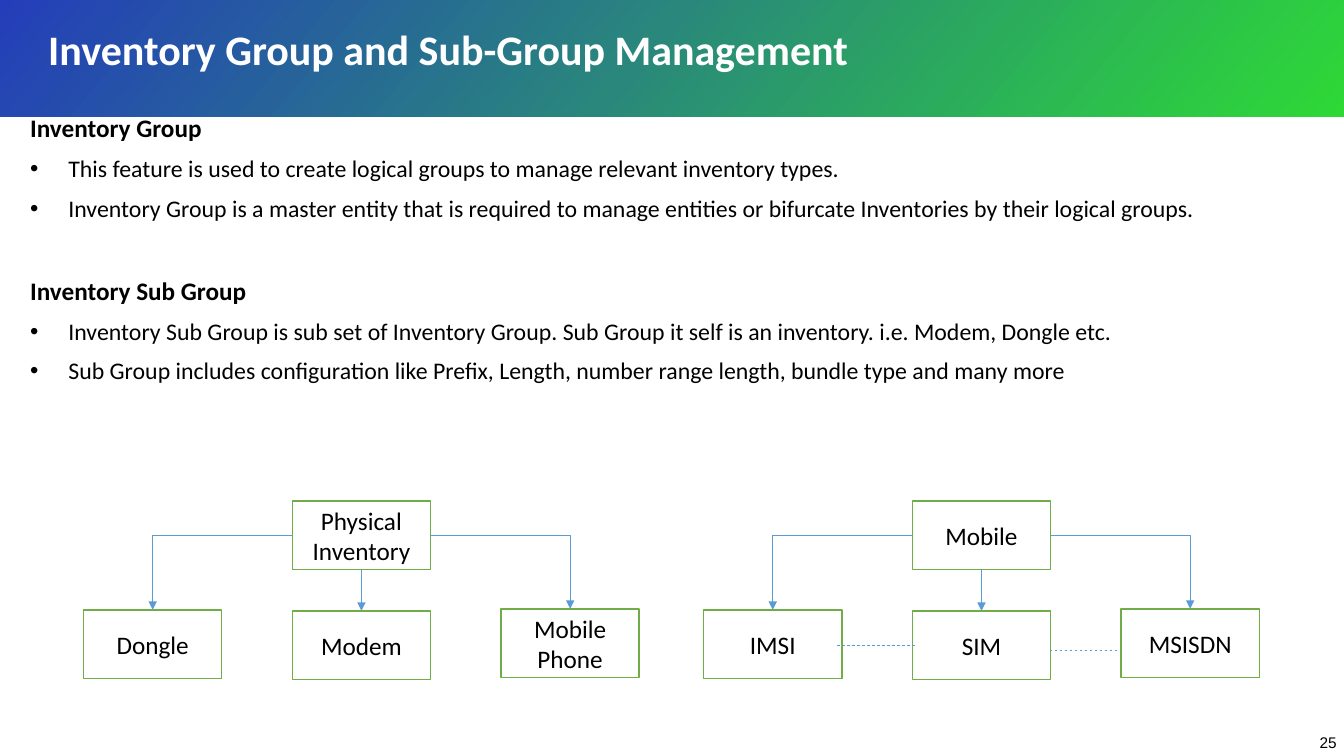
import pptx
import pptx.util
import pptx.dml.color
import pptx.enum.shapes
import pptx.enum.text
import pptx.enum.dml
from lxml import etree
from pptx.oxml.ns import qn

Inches, Pt = pptx.util.Inches, pptx.util.Pt
SHAPE = pptx.enum.shapes.MSO_SHAPE
LINK = pptx.enum.shapes.MSO_CONNECTOR
ANCHOR = pptx.enum.text.MSO_ANCHOR
color = pptx.dml.color.RGBColor.from_string


def style(para, size, shade="000000", bold=False, face="Calibri"):
    font = para.font
    font.name, font.size, font.bold = face, Pt(size), bold
    font.color.rgb = color(shade)


def link(kind, start, end, arrow=True):
    """Draw a thin blue connector, dashed when it has no arrow."""
    line = slide.shapes.add_connector(kind, *map(Inches, start + end))
    line.line.color.rgb = color("5B9BD5")
    line.line.width = Pt(0.5)
    props = line._element.spPr
    if kind == LINK.ELBOW:
        props.find(qn("a:prstGeom")).set("prst", "bentConnector2")
    if arrow:
        etree.SubElement(props.find(qn("a:ln")), qn("a:tailEnd"), type="triangle")
    else:
        line.line.dash_style = pptx.enum.dml.MSO_LINE.DASH
    etree.SubElement(props, qn("a:effectLst"))


deck = pptx.Presentation()
deck.slide_width, deck.slide_height = Inches(13.33), Inches(7.5)
slide = deck.slides.add_slide(deck.slide_layouts[6])

# Header band
band = slide.shapes.add_shape(SHAPE.RECTANGLE, 0, 0, Inches(13.33), Inches(1.16))
band.shadow.inherit = False
band.line.fill.background()
band.fill.gradient()
band.fill.gradient_angle = 320
for stop, shade in zip(band.fill.gradient_stops, ("0D29B3", "18D521")):
    stop.color.rgb = color(shade)
for tint in band._element.spPr.iter(qn("a:srgbClr")):
    etree.SubElement(tint, qn("a:alpha"), val="89000")

title = slide.shapes.add_textbox(
    Inches(0.38), Inches(0.09), Inches(10.19), Inches(0.85)).text_frame
title.word_wrap = True
title.vertical_anchor = ANCHOR.MIDDLE
title.text = "Inventory Group and Sub-Group Management"
title.paragraphs[0].line_spacing = 0.9
style(title.paragraphs[0], 30, "FFFFFF", True)

# Body text
topics = {
    "Inventory Group": [
        "This feature is used to create logical groups to manage relevant inventory types.",
        "Inventory Group is a master entity that is required to manage entities or "
        "bifurcate Inventories by their logical groups.",
    ],
    "Inventory Sub Group": [
        "Inventory Sub Group is sub set of Inventory Group. Sub Group it self is an "
        "inventory. i.e. Modem, Dongle etc.",
        "Sub Group includes configuration like Prefix, Length, number range length, "
        "bundle type and many more",
    ],
}
body = slide.shapes.add_textbox(
    Inches(0.2), Inches(1.1), Inches(12.87), Inches(3.61)).text_frame
body.word_wrap = True
para = body.paragraphs[0]
for head, points in topics.items():
    if para.text:
        para = body.add_paragraph()
        para.space_before = Pt(39.8)
    para.text = head
    para.line_spacing = 0.9
    style(para, 18, bold=True)
    for point in points:
        para = body.add_paragraph()
        para.text = point
        para.line_spacing = 0.9
        para.space_before = Pt(10)
        props = para._p.get_or_add_pPr()
        props.set("marL", str(Inches(0.38)))
        props.set("indent", str(-Inches(0.38)))
        etree.SubElement(props, qn("a:buFont"), typeface="Arial")
        etree.SubElement(props, qn("a:buChar"), char="•")
        style(para, 17)

# Inventory trees
wide, high, step = 1.37, 0.68, 2.07
top, mid = 4.97, 5.31
rows = (6.05, 6.06, 6.04)
trees = [
    (0.83, "Physical Inventory", ("Dongle", "Modem", "Mobile Phone")),
    (6.98, "Mobile", ("IMSI", "SIM", "MSISDN")),
]
for left, root, leaves in trees:
    cols = [left + step * i for i in range(3)]
    boxes = [(root, cols[1], top), *zip(leaves, cols, rows)]
    for label, x, y in boxes:
        box = slide.shapes.add_shape(
            SHAPE.RECTANGLE, Inches(x), Inches(y), Inches(wide), Inches(high))
        box.shadow.inherit = False
        box.fill.solid()
        box.fill.fore_color.rgb = color("FFFFFF")
        box.line.color.rgb = color("70AD47")
        box.line.width = Pt(1)
        frame = box.text_frame
        frame.word_wrap = True
        frame.vertical_anchor = ANCHOR.MIDDLE
        frame.text = label
        frame.paragraphs[0].alignment = pptx.enum.text.PP_ALIGN.CENTER
        style(frame.paragraphs[0], 18)
    ends = [(x + wide / 2, y) for x, y in zip(cols, rows)]
    link(LINK.ELBOW, (cols[1], mid), ends[0])
    link(LINK.ELBOW, (cols[1] + wide, mid), ends[2])
    link(LINK.STRAIGHT, (ends[1][0], top + high), ends[1])

link(LINK.STRAIGHT, (8.3, 6.4), (9.08, 6.4), arrow=False)
link(LINK.STRAIGHT, (10.41, 6.45), (11.12, 6.45), arrow=False)

# Page number
page = slide.shapes.add_textbox(
    Inches(12.99), Inches(7.22), Inches(0.34), Inches(0.28)).text_frame
page.word_wrap = False
page.margin_right = 0
page.text = "25"
style(page.paragraphs[0], 11, face="Arial")

deck.save("out.pptx")
